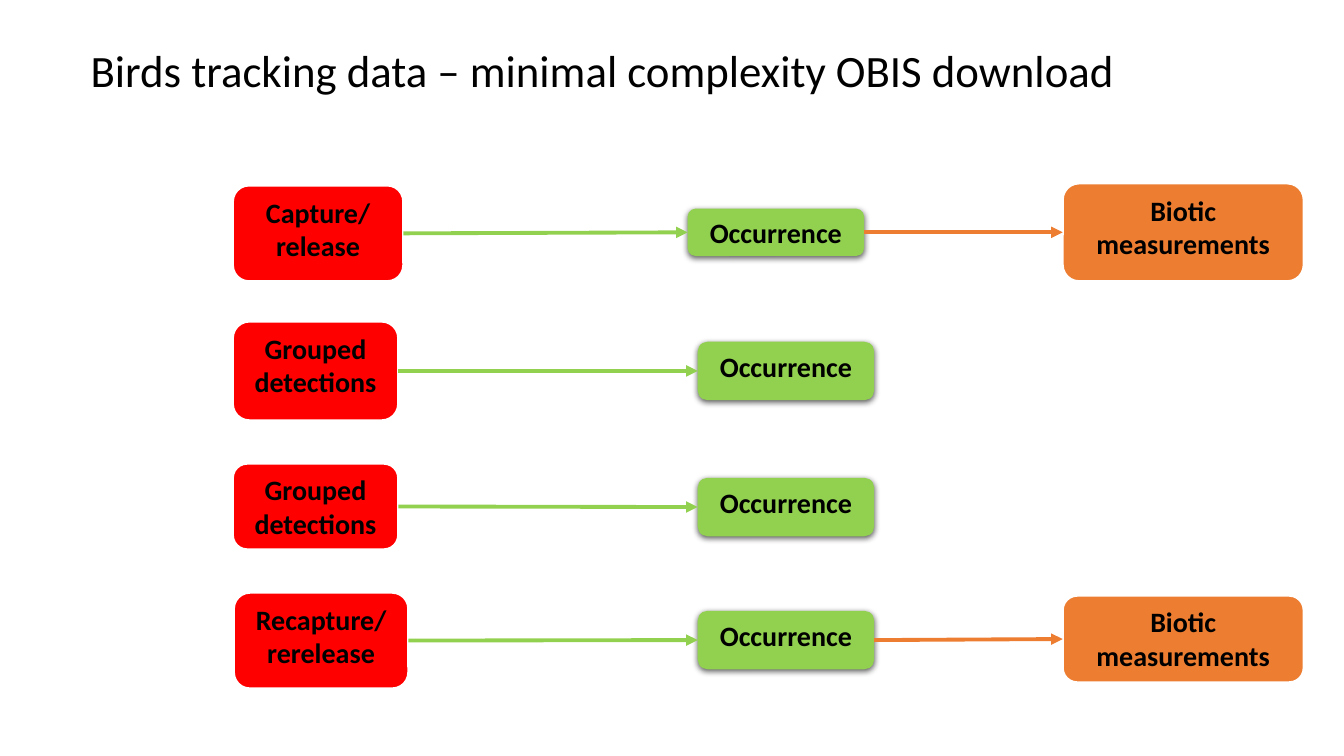
"""Build the bird tracking data flow slide."""
import pptx
import pptx.util
import pptx.dml.color
import pptx.enum.shapes
import pptx.enum.text
import pptx.oxml
import pptx.oxml.ns

Inches, Pt = pptx.util.Inches, pptx.util.Pt
RGB = pptx.dml.color.RGBColor.from_string

TITLE = "Birds tracking data – minimal complexity OBIS download"
FLOWS = [
    [("event", "Capture/ release", (2.31, 1.84, 1.69, 0.95)),
     ("occurrence", "Occurrence", (6.82, 2.07, 1.75, 0.47)),
     ("measurement", "Biotic measurements", (10.54, 1.82, 2.39, 0.97))],
    [("event", "Grouped detections", (2.31, 3.19, 1.64, 0.98)),
     ("occurrence", "Occurrence", (6.92, 3.39, 1.75, 0.58))],
    [("event", "Grouped detections", (2.31, 4.6, 1.64, 0.85)),
     ("occurrence", "Occurrence", (6.92, 4.74, 1.75, 0.58))],
    [("event", "Recapture/ rerelease", (2.32, 5.88, 1.73, 0.95)),
     ("occurrence", "Occurrence", (6.92, 6.06, 1.75, 0.58)),
     ("measurement", "Biotic measurements", (10.54, 5.91, 2.39, 0.86))],
]
THEME = {
    "fill": {"event": "FF0000", "occurrence": "92D050", "measurement": "ED7D31"},
    "outline": "FFFFFF",
    "outline_width": 1.5,
    "arrow_width": 2.75,
    "title": {"name": "Calibri", "size": Pt(32), "bold": False},
    "label": {"name": "Calibri", "size": Pt(20), "bold": True},
    "text": "000000",
}
SHADOW = (
    '<a:effectLst %s><a:outerShdw blurRad="57150" dist="19050" dir="5400000" '
    'algn="ctr" rotWithShape="0"><a:srgbClr val="000000"><a:alpha val="63000"/>'
    '</a:srgbClr></a:outerShdw></a:effectLst>'
)
NO_EFFECT = "<a:effectLst %s/>"
ARROWHEAD = '<a:tailEnd %s type="triangle"/>'


def element(template):
    return pptx.oxml.parse_xml(template % pptx.oxml.ns.nsdecls("a"))


def write(sp, text, style, anchor):
    tf = sp.text_frame
    tf.word_wrap = True
    tf.vertical_anchor = anchor
    p = tf.paragraphs[0]
    r = p.add_run()
    r.text = text
    for key, value in THEME[style].items():
        setattr(r.font, key, value)
    r.font.color.rgb = RGB(THEME["text"])
    return p


def add_node(s, kind, text, box):
    sp = s.shapes.add_shape(
        pptx.enum.shapes.MSO_SHAPE.ROUNDED_RECTANGLE, *map(Inches, box))
    sp.fill.solid()
    sp.fill.fore_color.rgb = RGB(THEME["fill"][kind])
    if kind == "occurrence":
        sp.line.fill.background()
        sp._element.spPr.append(element(SHADOW))
    else:
        sp.shadow.inherit = False
        sp.line.color.rgb = RGB(THEME["outline"])
        sp.line.width = Pt(THEME["outline_width"])
    p = write(sp, text, "label", pptx.enum.text.MSO_ANCHOR.TOP)
    p.alignment = pptx.enum.text.PP_ALIGN.CENTER
    return sp


def add_arrow(s, source, target, kind):
    line = s.shapes.add_connector(
        pptx.enum.shapes.MSO_CONNECTOR.STRAIGHT,
        source.left + source.width, source.top + source.height // 2,
        target.left, target.top + target.height // 2)
    line.begin_connect(source, 3)
    line.end_connect(target, 1)
    line.line.color.rgb = RGB(THEME["fill"][kind])
    line.line.width = Pt(THEME["arrow_width"])
    line.line._get_or_add_ln().append(element(ARROWHEAD))
    line._element.spPr.append(element(NO_EFFECT))


def main():
    prs = pptx.Presentation()
    prs.slide_width, prs.slide_height = Inches(13.33), Inches(7.5)
    s = prs.slides.add_slide(prs.slide_layouts[6])
    title = s.shapes.add_textbox(*map(Inches, (0.8, 0, 11.5, 1.45)))
    p = write(title, TITLE, "title", pptx.enum.text.MSO_ANCHOR.MIDDLE)
    p.line_spacing = 0.9
    for flow in FLOWS:
        nodes = [add_node(s, *node) for node in flow]
        for source, target, (kind, _, _) in zip(nodes, nodes[1:], flow[1:]):
            add_arrow(s, source, target, kind)
    prs.save("out.pptx")


if __name__ == "__main__":
    main()
